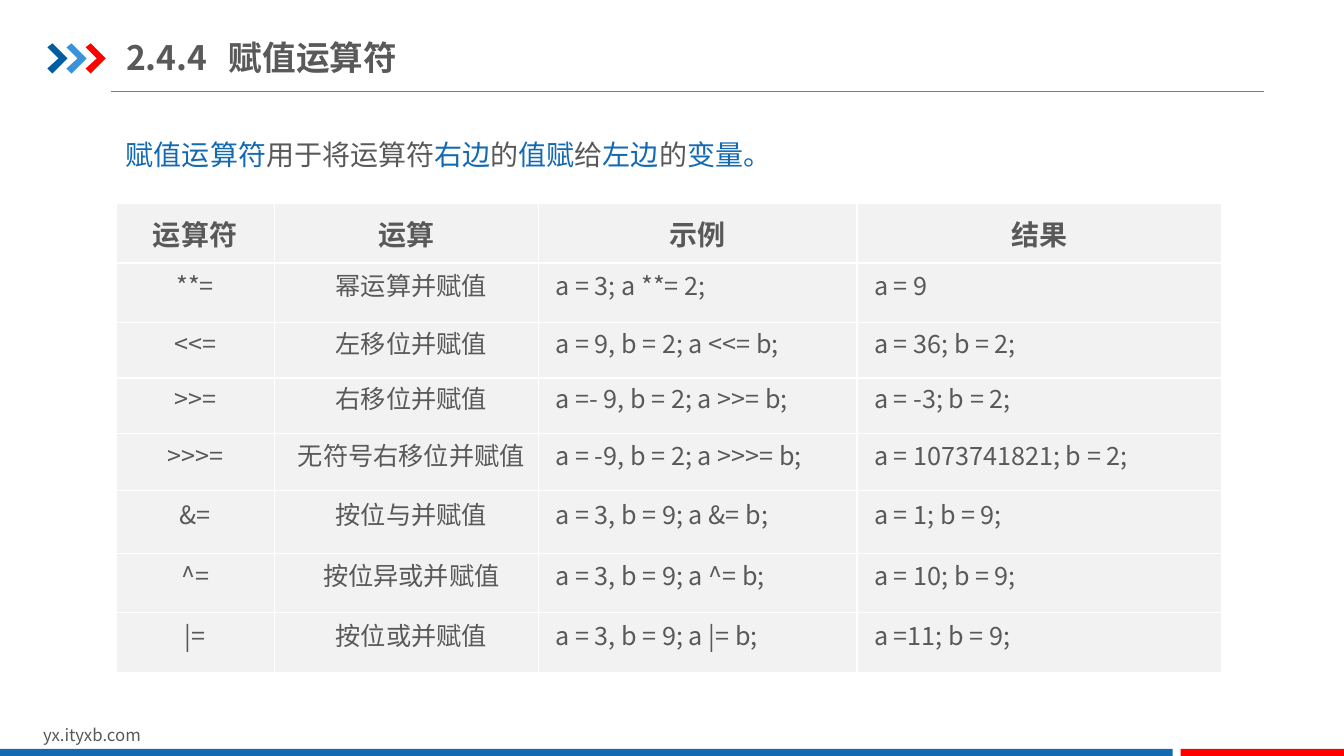
from lxml.etree import SubElement
from pptx import Presentation
from pptx.dml.color import RGBColor
from pptx.enum.shapes import MSO_CONNECTOR, MSO_SHAPE
from pptx.enum.text import MSO_ANCHOR, PP_ALIGN
from pptx.oxml.ns import qn
from pptx.util import Inches, Pt

FONT = "Noto Sans CJK SC"
BLUE = RGBColor(0x13, 0x69, 0xB2)
DARK_BLUE = RGBColor(0x00, 0x5D, 0xA2)
LIGHT_BLUE = RGBColor(0x39, 0x92, 0xDB)
RED = RGBColor(0xFF, 0x00, 0x00)
TEXT_GRAY = RGBColor(0x59, 0x59, 0x59)
RULE_GRAY = RGBColor(0x80, 0x80, 0x80)
CELL_GRAY = RGBColor(0xF2, 0xF2, 0xF2)
WHITE = RGBColor(0xFF, 0xFF, 0xFF)

INTRO = [
    ("赋值运算符", BLUE), ("用于将运算符", TEXT_GRAY), ("右边", BLUE),
    ("的", TEXT_GRAY), ("值赋", BLUE), ("给", TEXT_GRAY), ("左边", BLUE),
    ("的", TEXT_GRAY), ("变量。", BLUE),
]
COLUMN_WIDTHS = [1.57, 2.62, 3.16, 3.62]
ROW_HEIGHTS = [0.59, 0.59, 0.55, 0.55, 0.57, 0.62, 0.59, 0.59]
OPERATORS = [
    ("运算符", "运算", "示例", "结果"),
    ("**=", "幂运算并赋值", "a = 3; a **= 2;", "a = 9"),
    ("<<=", "左移位并赋值", "a = 9, b = 2; a <<= b;", "a = 36; b = 2;"),
    (">>=", "右移位并赋值", "a =- 9, b = 2; a >>= b;", "a = -3; b = 2;"),
    (">>>=", "无符号右移位并赋值", "a = -9, b = 2; a >>>= b;", "a = 1073741821; b = 2;"),
    ("&=", "按位与并赋值", "a = 3, b = 9; a &= b;", "a = 1; b = 9;"),
    ("^=", "按位异或并赋值", "a = 3, b = 9; a ^= b;", "a = 10; b = 9;"),
    ("|=", "按位或并赋值", "a = 3, b = 9; a |= b;", "a =11; b = 9;"),
]


def format_paragraph(paragraph, size, bold=False):
    """Set the font for both Latin and Chinese text."""
    font = paragraph.font
    font.name, font.size, font.bold = FONT, Pt(size), bold
    font.color.rgb = TEXT_GRAY
    defaults = paragraph._p.pPr.find(qn("a:defRPr"))
    SubElement(defaults, qn("a:ea"), typeface=FONT)


def paint(shape, color):
    shape.shadow.inherit = False
    shape.fill.solid()
    shape.fill.fore_color.rgb = color
    shape.line.fill.background()


def add_textbox(slide, left, top, width, height):
    frame = slide.shapes.add_textbox(
        Inches(left), Inches(top), Inches(width), Inches(height)).text_frame
    frame.word_wrap = True
    return frame.paragraphs[0]


def add_chevron(slide, left, color):
    outline = [(0, 0.47), (0.05, 0.43), (0.2, 0.58), (0.05, 0.73), (0, 0.68), (0.11, 0.58)]
    points = [(Inches(left + x), Inches(y)) for x, y in outline]
    builder = slide.shapes.build_freeform(*points[0])
    builder.add_line_segments(points[1:], close=True)
    paint(builder.convert_to_shape(), color)


def add_bar(slide, left, width, color):
    bar = slide.shapes.add_shape(
        MSO_SHAPE.RECTANGLE, Inches(left), Inches(7.43), Inches(width), Inches(0.07))
    paint(bar, color)


def add_rule(slide):
    rule = slide.shapes.add_connector(
        MSO_CONNECTOR.STRAIGHT, Inches(1.1), Inches(0.91), Inches(12.54), Inches(0.91))
    rule.line.color.rgb = RULE_GRAY
    rule.line.width = Pt(0.75)
    SubElement(rule._element.spPr, qn("a:effectLst"))


def add_title(slide):
    title = slide.shapes.title
    title.left, title.top = Inches(1.25), Inches(0.29)
    title.width, title.height = Inches(5.73), Inches(0.55)
    frame = title.text_frame
    frame.margin_left = frame.margin_right = 0
    frame.margin_top = frame.margin_bottom = Inches(0.07)
    frame.vertical_anchor = MSO_ANCHOR.MIDDLE
    frame.text = "2.4.4\t赋值运算符"
    paragraph = frame.paragraphs[0]
    paragraph.alignment = PP_ALIGN.LEFT
    tabs = SubElement(paragraph._p.get_or_add_pPr(), qn("a:tabLst"))
    SubElement(tabs, qn("a:tab"), pos=str(Inches(1.02)), algn="l")
    format_paragraph(paragraph, 24, bold=True)


def add_intro(slide):
    paragraph = add_textbox(slide, 1.15, 1.15, 11.42, 0.76)
    paragraph.line_spacing = 1.5
    format_paragraph(paragraph, 20)
    for text, color in INTRO:
        run = paragraph.add_run()
        run.text = text
        run.font.color.rgb = color


def add_footer(slide):
    paragraph = add_textbox(slide, 0.33, 7.14, 3.18, 0.3)
    paragraph.text = "yx.ityxb.com"
    format_paragraph(paragraph, 12)


def set_borders(cell):
    properties = cell._tc.get_or_add_tcPr()
    for side in ("lnL", "lnR", "lnT", "lnB"):
        border = SubElement(properties, qn(f"a:{side}"), w=str(Pt(1)))
        fill = SubElement(border, qn("a:solidFill"))
        SubElement(fill, qn("a:srgbClr"), val=str(WHITE))


def fill_cell(cell, text, is_header, column):
    cell.margin_left = cell.margin_right = Inches(0.07)
    cell.margin_top = cell.margin_bottom = 0
    cell.vertical_anchor = MSO_ANCHOR.MIDDLE
    set_borders(cell)
    cell.fill.solid()
    cell.fill.fore_color.rgb = CELL_GRAY
    cell.text = text
    paragraph = cell.text_frame.paragraphs[0]
    paragraph.alignment = PP_ALIGN.CENTER if is_header or column < 2 else PP_ALIGN.LEFT
    if not is_header:
        paragraph.line_spacing = Pt(14.5)
        paragraph.space_after = Pt(3)
        if column > 0:
            properties = paragraph._p.get_or_add_pPr()
            properties.set("marL", str(Inches(0.15)))
            properties.set("indent", str(Inches(-0.05)))
    format_paragraph(paragraph, 20 if is_header else 18, bold=is_header)


def add_operator_table(slide):
    table = slide.shapes.add_table(
        len(ROW_HEIGHTS), len(COLUMN_WIDTHS), Inches(1.15), Inches(2.02),
        Inches(sum(COLUMN_WIDTHS)), Inches(sum(ROW_HEIGHTS))).table
    table.first_row = table.horz_banding = False
    for column, width in zip(table.columns, COLUMN_WIDTHS):
        column.width = Inches(width)
    for row, height in zip(table.rows, ROW_HEIGHTS):
        row.height = Inches(height)
    for row_index, texts in enumerate(OPERATORS):
        for column_index, text in enumerate(texts):
            fill_cell(table.cell(row_index, column_index), text, row_index == 0, column_index)


def main():
    presentation = Presentation()
    presentation.slide_width, presentation.slide_height = Inches(13.33), Inches(7.5)
    slide = presentation.slides.add_slide(presentation.slide_layouts[5])

    # Header
    add_rule(slide)
    for index, color in enumerate((DARK_BLUE, LIGHT_BLUE, RED)):
        add_chevron(slide, 0.47 + 0.19 * index, color)
    add_title(slide)

    # Content
    add_intro(slide)
    add_operator_table(slide)

    # Footer
    add_footer(slide)
    add_bar(slide, 0, 11.63, BLUE)
    add_bar(slide, 11.71, 1.62, RED)

    presentation.save("out.pptx")


if __name__ == "__main__":
    main()
